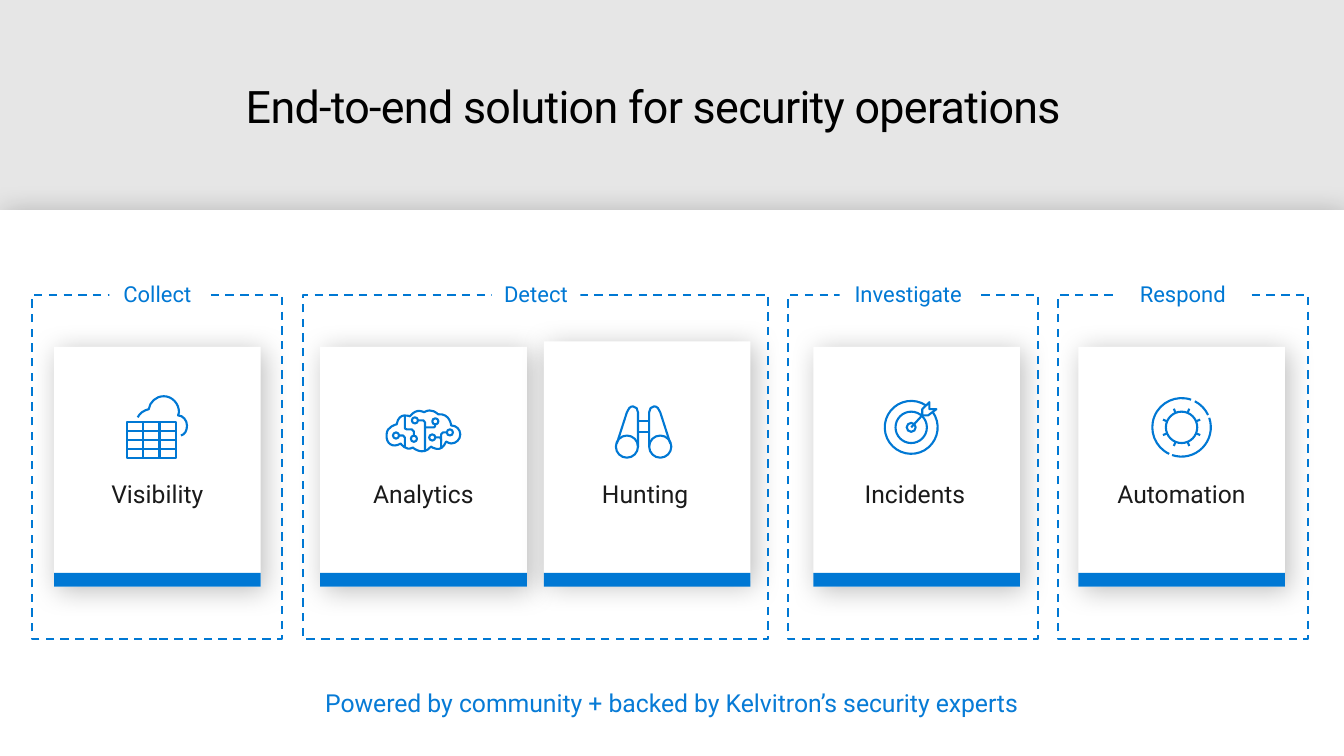
from math import ceil, cos, radians, sin, tan

from lxml.etree import SubElement
from pptx import Presentation
from pptx.dml.color import RGBColor
from pptx.enum.dml import MSO_LINE
from pptx.enum.shapes import MSO_CONNECTOR, MSO_SHAPE
from pptx.enum.text import MSO_ANCHOR, PP_ALIGN
from pptx.oxml.ns import qn
from pptx.util import Pt

TITLE = "End-to-end solution for security operations"
TAGLINE = "Powered by community + backed by Kelvitron’s security experts"
FONT = "Roboto"
COLORS = {"backdrop": "E6E6E6", "white": "FFFFFF", "black": "000000",
          "label": "1A1A1A", "blue": "0078D4", "frame": "0078D3", "tagline": "077BD6"}

# stage, frame left, frame width, tab left, tab width
STAGES = [
    ("Collect", 23, 178.6, 78.2, 68.4),
    ("Detect", 216.3, 332.6, 351.1, 63.4),
    ("Investigate", 563, 178.6, 599.8, 97.9),
    ("Respond", 756, 178.6, 799.2, 91.4),
]
# capability, card left, card top, label shift and icon shift from the card centre
CARDS = [
    ("Visibility", 38.6, 247.7, 0, 0),
    ("Analytics", 228.7, 247.7, 0, 0),
    ("Hunting", 388.5, 243.8, -1.4, -2.6),
    ("Incidents", 580.9, 247.7, -1.1, -3.8),
    ("Automation", 770.2, 247.7, 0, 0),
]
CARD_WIDTH, CARD_HEIGHT, BAR_TOP, BAR_HEIGHT = 147.6, 171.4, 409.2, 9.8
FRAME_TOP, FRAME_HEIGHT, TAB_TOP, TAB_HEIGHT = 210.5, 245.9, 193.3, 33.1
LABEL_TOP, LABEL_WIDTH, LABEL_HEIGHT = 334.8, 156.2, 36
ICON_MIDDLE = 305.3
GRID_LEFT, GRID_TOP, GRID_WIDTH, GRID_HEIGHT = -22, -3.6, 35.3, 25.6
GRID_COLUMNS, GRID_ROWS = 3, 4

# Icon outlines, in points from the icon centre; curves are chains of cubic Bézier segments
CLOUD = [(-14, -7.2), (-12.6, -10.1), (-9.7, -12.2), (-6.1, -13),
         (-5.4, -18), (-1.1, -22.3), (4.7, -22.3),
         (10.4, -22.3), (15.5, -17.3), (15.5, -10.8),
         (15.5, -10.1), (15.5, -9.4), (14.8, -8.6),
         (18.4, -8.6), (21.2, -5), (21.2, -1.4),
         (21.2, 2.2), (19.8, 5), (16.9, 5.8)]
BRAIN = [(16.2, 10.1), (17.6, 10.8), (18.4, 11.5), (19.8, 11.5),
         (23.4, 11.5), (26.3, 8.6), (26.3, 5),
         (26.3, 1.4), (23.4, -1.4), (19.8, -1.4),
         (19.8, -1.4), (19.1, -10.1), (10.4, -9.4),
         (10.4, -9.4), (6.1, -14.4), (0.4, -10.8),
         (0.4, -10.8), (-4.7, -14.4), (-9.7, -7.9),
         (-9.7, -7.9), (-17.6, -11.5), (-19.1, -2.2),
         (-19.1, -2.2), (-26.3, -0.7), (-26.3, 5),
         (-27, 11.5), (-22, 15.1), (-16.2, 11.5),
         (-16.2, 11.5), (-12.6, 17.3), (-7.6, 14.4),
         (-7.6, 14.4), (-0.4, 20.9), (5.4, 13.7),
         (5.4, 13.7), (12.6, 19.4), (16.2, 10.1)]
BRAIN_NODES = [(18.9, 3.6), (6.3, 7.2), (-6.1, -5), (8.5, -4.3), (-6.8, 8.1), (-19.6, 5.8)]
BRAIN_WIRES = [
    [(-17.5, 5.8), (-14.5, 5.8), (-13.3, 7.2), (-13.3, 14.4)],
    [(-4, -5), (0, -5), (1.1, -3.6), (1.1, 16.6)],
    [(1.1, 0), (7.6, 0), (8.3, -0.7), (8.3, -2.2)],
    [(-13.3, -8.6), (-13.3, 0.7), (-12, 1.4), (-8.3, 1.4), (-6.8, 2.9), (-6.8, 5.8)],
    [(16.2, 3.6), (14, 3.6), (12.6, 5), (12.6, 10)],
    [(12.6, 15.1), (12.6, 8.6), (11.9, 7.2), (8.3, 7.2)],
]
BARREL = [(4, 13.7), (4, 13.7), (4, -10.8), (4, -10.8),
          (4, -13), (5.4, -15.1), (7.6, -15.1),
          (9.7, -15.1), (11.2, -13), (11.9, -10.8),
          (11.9, -10.8), (19.1, 11.5), (19.1, 11.5)]
DART = [(0, 0), (7.9, -8.6), (7.9, -13), (13, -18), (13, -13), (18, -13),
        (12.2, -8.6), (7.9, -8.6)]


def arc(x, y, radius, start=0, end=360):
    """Cubic Bézier chain along a circle, at most a quarter turn per segment."""
    count = ceil((end - start) / 90)
    step = radians(end - start) / count
    pull = 4 / 3 * tan(step / 4)
    chain = []
    for i in range(count + 1):
        a = radians(start) + step * i
        for k in (-pull, 0, pull):
            chain.append((x + radius * (cos(a) - k * sin(a)), y + radius * (sin(a) + k * cos(a))))
    return chain[1:-1]


def mirrored(points, side):
    return [(side * x, y) for x, y in points]


# capability: (curves, straight strokes)
ICONS = {
    "Visibility": ([CLOUD], []),
    "Analytics": ([BRAIN] + [arc(x, y, 2.2) for x, y in BRAIN_NODES], BRAIN_WIRES),
    "Hunting": ([curve for side in (-1, 1)
                 for curve in (arc(side * 11.9, 13.7, 7.9), mirrored(BARREL, side))],
                [[(-4, y), (4, y)] for y in (-4.3, 3.6)]),
    "Incidents": ([arc(0, 0, 3.2), arc(0, 0, 11.2), arc(0, 0, 18.9, -36, 304)], [DART]),
    "Automation": ([arc(0, 0, 11.2)] + [arc(0, 0, 20.9, *span)
                                        for span in ((115, 289), (-19, 109), (-63, -25))],
                   [[(r * cos(radians(a)), r * sin(radians(a))) for r in (11.2, 14.4)]
                    for a in (22.5 + 45 * tooth for tooth in range(8))]),
}


def rgb(name):
    return RGBColor.from_string(COLORS[name])


def outline(shape, color="blue"):
    shape.line.color.rgb = rgb(color)
    shape.line.width = Pt(1.5)


def add_box(left, top, width, height, fill=None):
    box = shapes.add_shape(MSO_SHAPE.RECTANGLE, Pt(left), Pt(top), Pt(width), Pt(height))
    box.shadow.inherit = False
    if fill:
        box.fill.solid()
        box.fill.fore_color.rgb = rgb(fill)
        box.line.fill.background()
    else:
        box.fill.background()
        outline(box)
    return box


def cast_shadow(box):
    effects = box._element.spPr.find(qn("a:effectLst"))
    shadow = SubElement(effects, qn("a:outerShdw"), blurRad=str(Pt(20)), dist=str(Pt(4)),
                        dir=str(45 * 60000), algn="ctr", rotWithShape="0")
    tint = SubElement(shadow, qn("a:srgbClr"), val=COLORS["black"])
    SubElement(tint, qn("a:alpha"), val="25000")


def write(shape, text, size, color, inset=7.2, anchor=MSO_ANCHOR.TOP, wrap=True):
    frame = shape.text_frame
    frame.word_wrap = wrap
    frame.vertical_anchor = anchor
    frame.margin_left = frame.margin_right = frame.margin_top = frame.margin_bottom = Pt(inset)
    paragraph = frame.paragraphs[0]
    paragraph.text = text
    paragraph.alignment = PP_ALIGN.CENTER
    paragraph.font.name, paragraph.font.size = FONT, Pt(size)
    paragraph.font.color.rgb = rgb(color)
    return paragraph


def add_icon(curves, straights, center):
    strokes = [[(Pt(center + x), Pt(ICON_MIDDLE + y)) for x, y in stroke]
               for stroke in curves + straights]
    builder = shapes.build_freeform(*strokes[0][0])
    for number, stroke in enumerate(strokes):
        if number:
            builder.move_to(*stroke[0])
        builder.add_line_segments(stroke[1:], close=False)
    icon = builder.convert_to_shape()
    icon.shadow.inherit = False
    icon.fill.background()
    outline(icon)
    bend(icon, sum(len(curve) - 1 for curve in curves))


def bend(icon, control_count):
    """Turn the leading line segments, three at a time, into cubic Bézier segments."""
    segments = list(icon._element.iter(qn("a:lnTo")))[:control_count]
    for first, second, third in zip(*[iter(segments)] * 3):
        first.tag = qn("a:cubicBezTo")
        for segment in (second, third):
            first.append(segment[0])
            segment.getparent().remove(segment)


def add_rule(x1, y1, x2, y2):
    rule = shapes.add_connector(MSO_CONNECTOR.STRAIGHT, Pt(x1), Pt(y1), Pt(x2), Pt(y2))
    SubElement(rule._element.spPr, qn("a:effectLst"))
    outline(rule)


def add_data_grid(center):
    left, top = center + GRID_LEFT, ICON_MIDDLE + GRID_TOP
    add_box(left, top, GRID_WIDTH, GRID_HEIGHT)
    for column in range(1, GRID_COLUMNS):
        x = left + GRID_WIDTH * column / GRID_COLUMNS
        add_rule(x, top, x, top + GRID_HEIGHT)
    for row in range(1, GRID_ROWS):
        y = top + GRID_HEIGHT * row / GRID_ROWS
        add_rule(left, y, left + GRID_WIDTH, y)


deck = Presentation()
deck.slide_width, deck.slide_height = Pt(960), Pt(540)
slide = deck.slides.add_slide(deck.slide_layouts[5])
shapes = slide.shapes
slide.background.fill.solid()
slide.background.fill.fore_color.rgb = rgb("backdrop")

title = shapes.title
title.left, title.top, title.width, title.height = Pt(19), Pt(56.2), Pt(895), Pt(38.9)
heading = write(title, TITLE, 32, "black", inset=0, anchor=MSO_ANCHOR.MIDDLE)
heading.runs[0]._r.get_or_add_rPr().set("spc", "-50")
cast_shadow(add_box(0, 150, 960, 398, "white"))

for capability, left, top, label_shift, icon_shift in CARDS:
    cast_shadow(add_box(left, top, CARD_WIDTH, CARD_HEIGHT, "white"))
    add_box(left, BAR_TOP, CARD_WIDTH, BAR_HEIGHT, "blue")
    center = left + CARD_WIDTH / 2
    label = shapes.add_textbox(Pt(center + label_shift - LABEL_WIDTH / 2), Pt(LABEL_TOP),
                               Pt(LABEL_WIDTH), Pt(LABEL_HEIGHT))
    write(label, capability, 17.6, "label")
    add_icon(*ICONS[capability], center + icon_shift)
    if capability == "Visibility":
        add_data_grid(center)

for stage, left, width, tab_left, tab_width in STAGES:
    frame = add_box(left, FRAME_TOP, width, FRAME_HEIGHT)
    outline(frame, "frame")
    frame.line.dash_style = MSO_LINE.DASH
    tab = add_box(tab_left, TAB_TOP, tab_width, TAB_HEIGHT, "white")
    write(tab, stage, 15.7, "blue", wrap=False)

tagline = shapes.add_textbox(Pt(77), Pt(491.4), Pt(805.7), Pt(34.6))
write(tagline, TAGLINE, 17.7, "tagline", inset=0)
deck.save("out.pptx")
